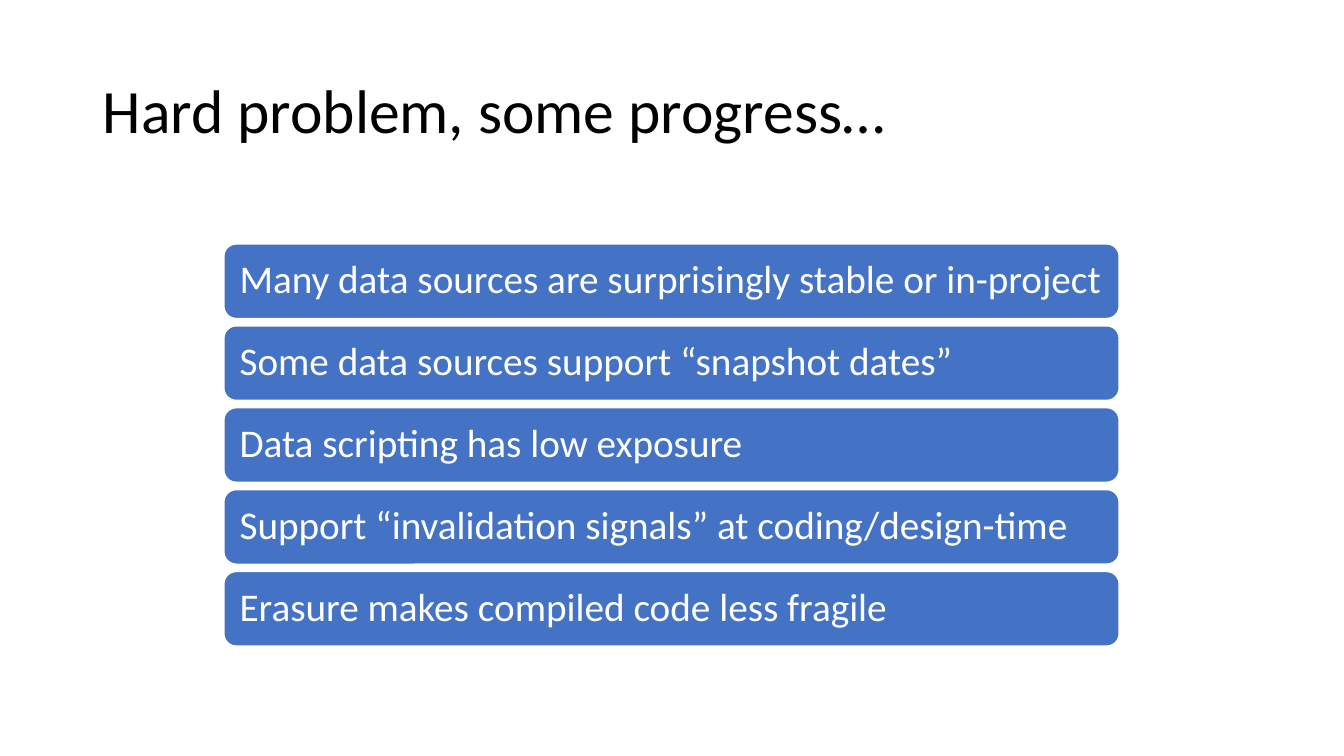
from pptx import Presentation
from pptx.dml.color import RGBColor
from pptx.enum import shapes, text
from pptx.util import Inches, Pt

TITLE = "Hard problem, some progress…"
POINTS = [
    "Many data sources are surprisingly stable or in-project",
    "Some data sources support “snapshot dates”",
    "Data scripting has low exposure",
    "Support “invalidation signals” at coding/design-time",
    "Erasure makes compiled code less fragile",
]
TITLE_BOX = (0.92, 0.4, 11.5, 1.45)
BAR_LEFT, BAR_TOP, BAR_WIDTH, BAR_HEIGHT = 2.22, 2.42, 8.88, 0.74
BAR_STEP = 0.8125
BAR_INSET = 0.12
BLACK, WHITE, BLUE = "000000", "FFFFFF", "4472C4"


def color(value):
    return RGBColor.from_string(value)


def write(sp, words, size, ink):
    tf = sp.text_frame
    tf.word_wrap = True
    tf.vertical_anchor = text.MSO_ANCHOR.MIDDLE
    p = tf.paragraphs[0]
    p.alignment = text.PP_ALIGN.LEFT
    p.line_spacing = 0.9
    r = p.add_run()
    r.text = words
    for name, value in {"name": "Calibri", "size": Pt(size)}.items():
        setattr(r.font, name, value)
    r.font.color.rgb = color(ink)


def add_bar(s, row, words):
    box = (BAR_LEFT, BAR_TOP + row * BAR_STEP, BAR_WIDTH, BAR_HEIGHT)
    sp = s.shapes.add_shape(shapes.MSO_SHAPE.ROUNDED_RECTANGLE, *map(Inches, box))
    sp.shadow.inherit = False
    sp.fill.solid()
    sp.fill.fore_color.rgb = color(BLUE)
    sp.line.color.rgb = color(WHITE)
    sp.line.width = Pt(1)
    for side in ("left", "top", "right", "bottom"):
        setattr(sp.text_frame, f"margin_{side}", Inches(BAR_INSET))
    write(sp, words, 28, WHITE)


prs = Presentation()
prs.slide_width, prs.slide_height = Inches(13.33), Inches(7.5)
s = prs.slides.add_slide(prs.slide_layouts[6])
write(s.shapes.add_textbox(*map(Inches, TITLE_BOX)), TITLE, 44, BLACK)
for row, words in enumerate(POINTS):
    add_bar(s, row, words)
prs.save("out.pptx")
